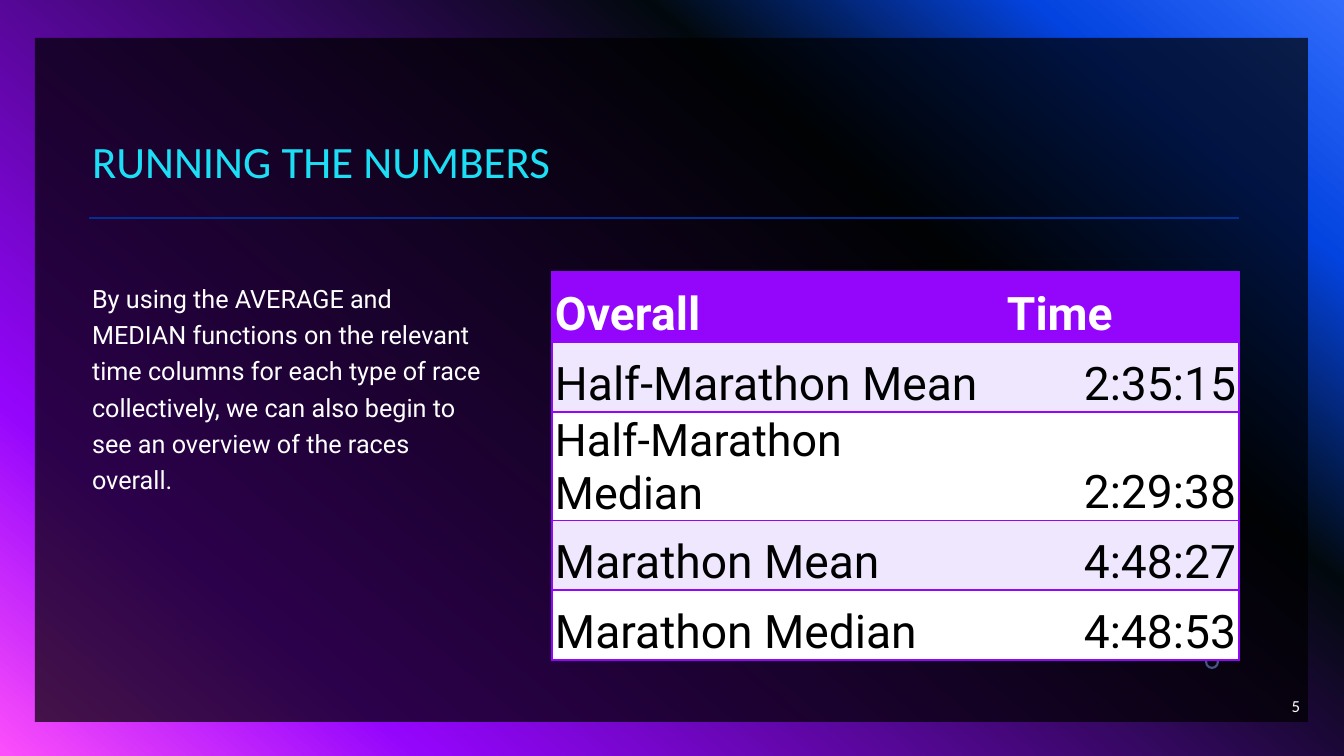
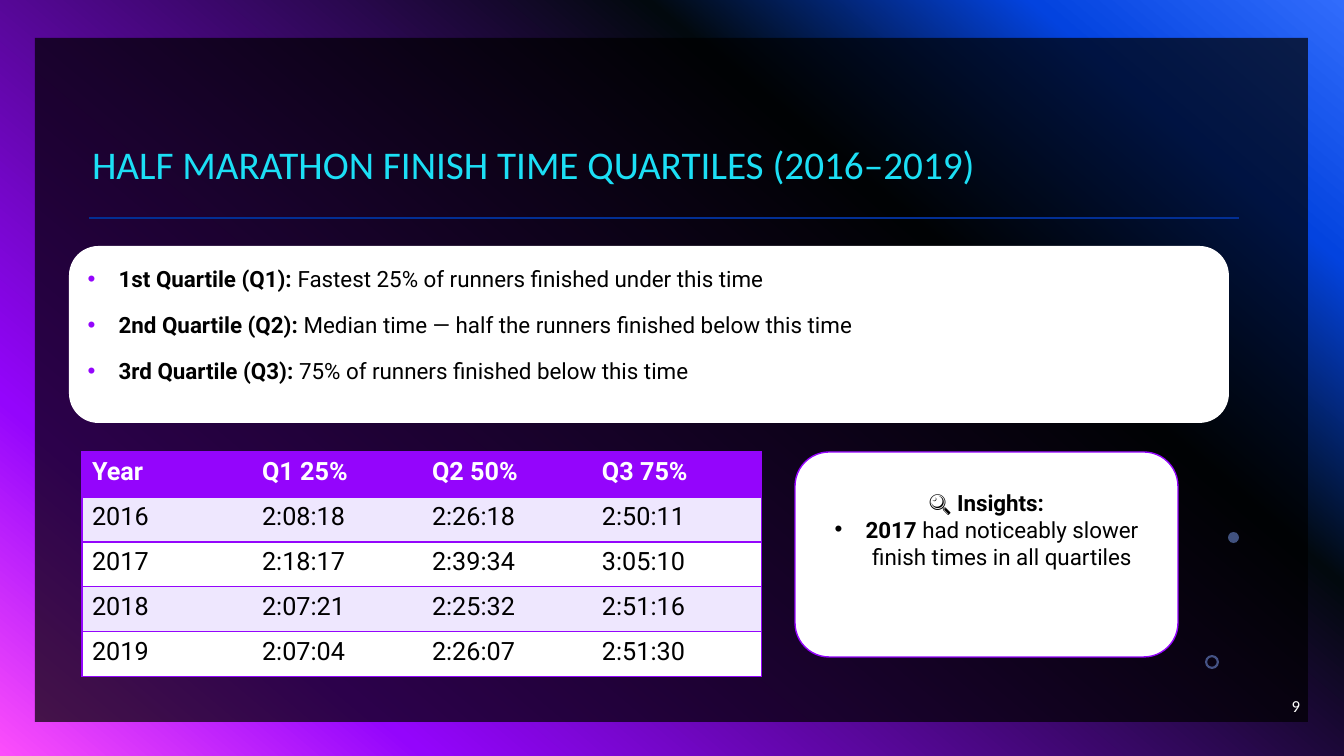
from dataclasses import dataclass

from lxml.etree import SubElement as Sub
from pptx import Presentation
from pptx.dml.color import RGBColor as Rgb
from pptx.enum.shapes import MSO_CONNECTOR as Link, MSO_SHAPE as Kind
from pptx.enum.text import MSO_ANCHOR as Anchor, MSO_AUTO_SIZE as Auto, PP_ALIGN as Align
from pptx.oxml.ns import qn
from pptx.util import Emu, Pt


@dataclass(frozen=True)
class Theme:
    head: str = "Calibri"
    body: str = "Roboto"
    cyan: str = "1CDFF5"
    white: str = "FFFFFF"
    black: str = "000000"
    violet: str = "9405FC"
    band: str = "EEE7FE"
    rule: str = "022F94"
    dot: str = "83A7FD"
    glow: tuple = ((0, "316CFC"), (14, "0343DF"), (31, "02090E"),
                   (81, "9405FC"), (100, "FC4EFB"))
    text: int = 18
    note: int = 16
    foot: int = 12
    grid: int = 33


def px(count):
    return Emu(round(count * 914400 / 100.8))


def put(item, values):
    for name, value in values.items():
        setattr(item, name, value)


def paint(fill, tone):
    fill.solid()
    fill.fore_color.rgb = Rgb.from_string(tone)


def place(item, box):
    put(item, dict(zip(("left", "top", "width", "height"), map(px, box))))


class Deck:
    """Holds the theme and the current slide, and draws each kind of element."""

    def __init__(self, theme):
        self.theme = theme
        self.show = Presentation()
        put(self.show, {"slide_width": px(1344), "slide_height": px(756)})
        master = self.show.slide_master
        fill = master.background.fill
        fill.gradient()
        fill.gradient_angle = 230
        stops = master.element.xpath(".//p:bg//a:gsLst")[0]
        for stop in list(stops):
            stops.remove(stop)
        for spot, tone in theme.glow:
            stop = Sub(stops, qn("a:gs"), pos=str(spot * 1000))
            Sub(stop, qn("a:srgbClr"), val=tone)

    def start(self, title, size, number):
        theme = self.theme
        self.slide = self.show.slides.add_slide(self.show.slide_layouts[1])
        self.shape(Kind.RECTANGLE, (35, 38, 1273, 684), theme.black, alpha=70)
        self.line(89, 218, 1239, 218)
        ring = self.shape(Kind.DONUT, (1205, 655, 14, 14), theme.dot, alpha=49)
        ring.adjustments[0] = 0.16
        head = self.holder(self.slide.shapes.title, (82, 47, 1157, 146))
        head.vertical_anchor = Anchor.BOTTOM
        self.para(head, [(title, False)], size, theme.cyan, theme.head,
                  {"line_spacing": 0.9, "alignment": Align.LEFT})
        foot = self.slide.shapes.add_textbox(*map(px, (1008, 686, 302, 40))).text_frame
        put(foot, {"word_wrap": True, "vertical_anchor": Anchor.MIDDLE})
        self.para(foot, [(number, False)], theme.foot, theme.white, theme.head,
                  {"alignment": Align.RIGHT})

    def holder(self, item, box, tone=None):
        place(item, box)
        node = item.element
        node.getparent().append(node)
        if tone:
            geom = Sub(node.spPr, qn("a:prstGeom"), prst="roundRect")
            Sub(geom, qn("a:avLst"))
            paint(item.fill, tone)
        frame = item.text_frame
        put(frame, {"word_wrap": True, "auto_size": Auto.NONE,
                    "vertical_anchor": Anchor.TOP})
        return frame

    def body(self, box, tone=None):
        return self.holder(self.slide.placeholders[1], box, tone)

    def shape(self, kind, box, tone, edge=None, alpha=None):
        item = self.slide.shapes.add_shape(kind, *map(px, box))
        item.shadow.inherit = False
        paint(item.fill, tone)
        if edge:
            paint(item.line.fill, edge)
            item.line.width = Pt(1)
        else:
            item.line.fill.background()
        if alpha:
            clear = item.element.xpath("./p:spPr/a:solidFill/a:srgbClr")[0]
            Sub(clear, qn("a:alpha"), val=str(alpha * 1000))
        return item

    def line(self, *ends):
        item = self.slide.shapes.add_connector(Link.STRAIGHT, *map(px, ends))
        paint(item.line.fill, self.theme.rule)
        item.line.width = Pt(2)
        Sub(item.element.spPr, qn("a:effectLst"))

    def para(self, frame, runs, size, tone, face=None, style=None, mark=None):
        para = frame.paragraphs[0]
        if para.runs:
            para = frame.add_paragraph()
        put(para, style or {})
        for text, bold in runs:
            run = para.add_run()
            run.text = text
            put(run.font, {"size": Pt(size), "bold": bold,
                           "name": face or self.theme.body})
            run.font.color.rgb = Rgb.from_string(tone)
        props = para._p.get_or_add_pPr()
        inset = px(31) if mark else 0
        props.set("marL", str(inset))
        props.set("indent", str(-inset))
        if mark:
            Sub(Sub(props, qn("a:buClr")), qn("a:srgbClr"), val=mark)
            Sub(props, qn("a:buFont"), typeface="Arial")
            Sub(props, qn("a:buChar"), char="•")
        else:
            Sub(props, qn("a:buNone"))

    def table(self, spot, rows, wide, tall, size, style=None, last=Align.LEFT):
        theme = self.theme
        box = (*spot, sum(wide), sum(tall))
        item = self.slide.shapes.add_table(len(rows), len(wide), *map(px, box))
        plain = "{2D5ABB26-0587-4C30-8999-92F81FD0307C}"
        item.element.xpath(".//a:tableStyleId")[0].text = plain
        grid = item.table
        for col, span in zip(grid.columns, wide):
            col.width = px(span)
        for y, (row, span) in enumerate(zip(rows, tall)):
            grid.rows[y].height = px(span)
            tone = theme.violet if y == 0 else theme.band if y % 2 else theme.white
            for x, text in enumerate(row):
                cell = grid.cell(y, x)
                put(cell, style or {})
                paint(cell.fill, tone)
                end = x == len(row) - 1
                self.border(cell, ["lnL"] * (x == 0) + ["lnR"] * end + ["lnT", "lnB"])
                side = last if end and y else Align.LEFT
                self.para(cell.text_frame, [(text, y == 0)], size,
                          theme.black if y else theme.white,
                          style={"alignment": side})
        return grid

    def border(self, cell, sides):
        props = cell._tc.get_or_add_tcPr()
        for order, side in enumerate(sides):
            edge = Sub(props, qn("a:" + side), w=str(Pt(1)))
            Sub(Sub(edge, qn("a:solidFill")), qn("a:srgbClr"), val=self.theme.violet)
            props.insert(order, edge)


def means(deck):
    theme = deck.theme
    deck.start("RUNNING THE NUMBERS", 32, "5")
    text = ("By using the AVERAGE and MEDIAN functions on the relevant time columns "
            "for each type of race collectively, we can also begin to see an "
            "overview of the races overall.")
    deck.para(deck.body((82, 272, 416, 410)), [(text, False)], theme.text, theme.white,
              style={"line_spacing": 1.2, "space_before": Pt(10)})
    rows = [("Overall", "Time"),
            ("Half-Marathon Mean", "2:35:15"),
            ("Half-Marathon Median", "2:29:38"),
            ("Marathon Mean", "4:48:27"),
            ("Marathon Median", "4:48:53")]
    style = {"vertical_anchor": Anchor.BOTTOM, "margin_left": px(3),
             "margin_right": px(3), "margin_top": px(3), "margin_bottom": 0}
    grid = deck.table((552, 272), rows, (452, 235), (70, 70, 78, 70, 70),
                      theme.grid, style, Align.RIGHT)
    grid.cell(2, 0).text_frame.paragraphs[0].runs[0].font.size = Pt(32)


def parts(deck):
    theme = deck.theme
    deck.start("HALF MARATHON FINISH TIME QUARTILES (2016–2019)", 28, "9")
    deck.shape(Kind.OVAL, (1228, 532, 11, 11), theme.dot, alpha=49)
    rows = [("Year", "Q1 25%", "Q2 50%", "Q3 75%"),
            ("2016", "2:08:18", "2:26:18", "2:50:11"),
            ("2017", "2:18:17", "2:39:34", "3:05:10"),
            ("2018", "2:07:21", "2:25:32", "2:51:16"),
            ("2019", "2:07:04", "2:26:07", "2:51:30")]
    deck.table((82, 452), rows, [170] * 4, [45] * 5, theme.text)
    frame = deck.body((69, 246, 1160, 177), theme.white)
    for name, text in (
            ("1st Quartile (Q1):", " Fastest 25% of runners finished under this time"),
            ("2nd Quartile (Q2):", " Median time — half the runners finished below this time"),
            ("3rd Quartile (Q3):", " 75% of runners finished below this time")):
        deck.para(frame, [(name, True), (text, False)], theme.note, theme.black,
                  style={"line_spacing": 1.2, "space_before": Pt(10)},
                  mark=theme.violet)
    card = deck.shape(Kind.ROUNDED_RECTANGLE, (795, 452, 383, 205),
                      theme.white, theme.violet).text_frame
    put(card, {"word_wrap": True, "vertical_anchor": Anchor.TOP, "margin_top": px(27)})
    style = {"alignment": Align.CENTER}
    deck.para(card, [("🔍 ", False), ("Insights:", True)], theme.note, theme.black,
              style=style)
    deck.para(card, [("2017", True),
                     (" had noticeably slower finish times in all quartiles", False)],
              theme.note, theme.black, style=style, mark=theme.black)


def main():
    deck = Deck(Theme())
    means(deck)
    parts(deck)
    deck.show.save("out.pptx")


if __name__ == "__main__":
    main()
